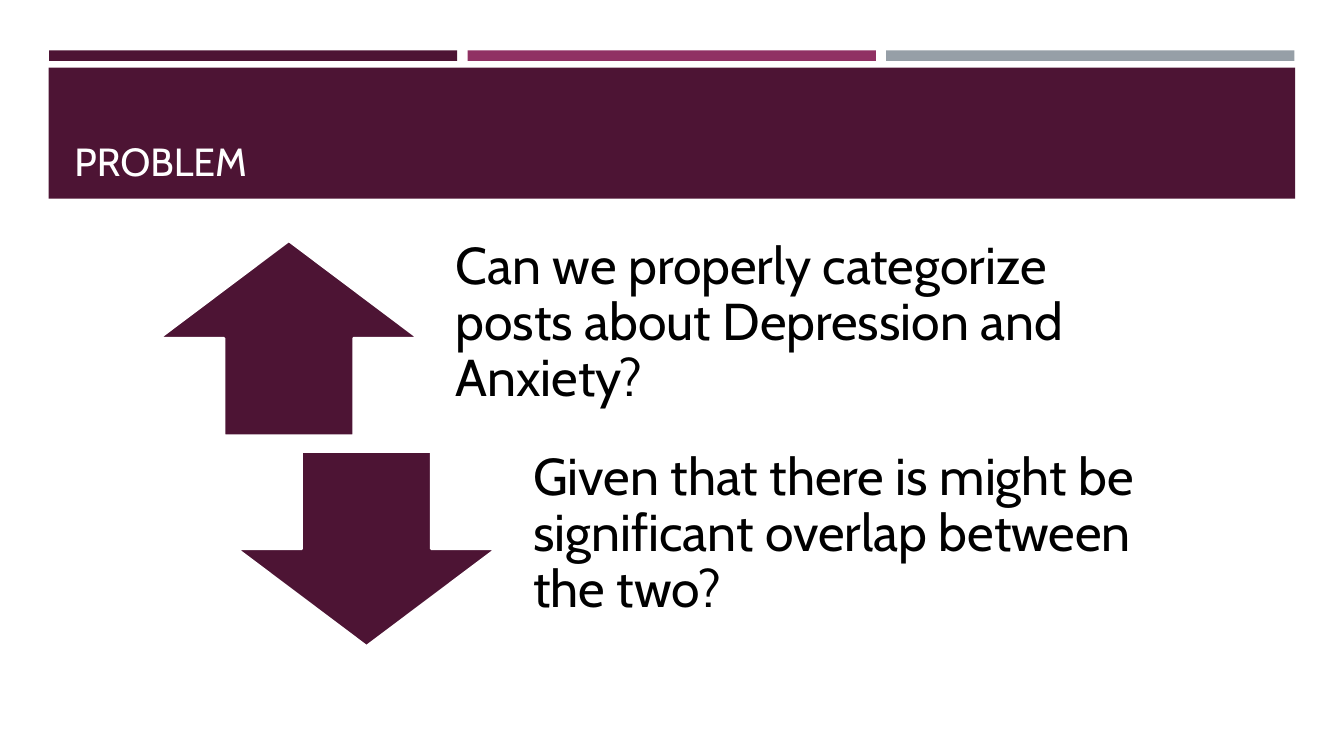
import pptx
import pptx.dml.color
import pptx.enum.shapes
import pptx.enum.text
import pptx.util

Pt = pptx.util.Pt
Shape = pptx.enum.shapes.MSO_SHAPE
Anchor = pptx.enum.text.MSO_ANCHOR

PLUM, ROSE, GREY = "4D1434", "903163", "969FA7"
WHITE, BLACK = "FFFFFF", "000000"


def color(code):
    return pptx.dml.color.RGBColor.from_string(code)


class Page:
    font = "Cabin"

    def __init__(self, slide):
        self.slide = slide

    def shape(self, kind, box, fill, line=None):
        item = self.slide.shapes.add_shape(kind, *map(Pt, box))
        item.shadow.inherit = False
        item.fill.solid()
        item.fill.fore_color.rgb = color(fill)
        if line:
            item.line.color.rgb = color(line)
            item.line.width = Pt(1.75)
        else:
            item.line.fill.background()

    def text(self, words, box, size, ink, anchor, insets, spacing=1.0):
        """Add a wrapped text box; insets run left, top, right, bottom."""
        frame = self.slide.shapes.add_textbox(*map(Pt, box)).text_frame
        frame.word_wrap = True
        frame.vertical_anchor = anchor
        (frame.margin_left, frame.margin_top,
         frame.margin_right, frame.margin_bottom) = map(Pt, insets)
        frame.text = words
        para = frame.paragraphs[0]
        para.line_spacing = spacing
        font = para.runs[0].font
        font.name = self.font
        font.size = Pt(size)
        font.color.rgb = color(ink)


def main():
    deck = pptx.Presentation()
    deck.slide_width, deck.slide_height = Pt(960), Pt(540)
    page = Page(deck.slides.add_slide(deck.slide_layouts[6]))

    for col, fill in enumerate((PLUM, ROSE, GREY)):
        page.shape(Shape.RECTANGLE, (35 + 299 * col, 36, 291.6, 7.5), fill)
    page.shape(Shape.RECTANGLE, (34.8, 48.4, 890.3, 93.6), PLUM)
    page.text("PROBLEM", (46.1, 55.4, 868.3, 79.9), 28, WHITE,
              Anchor.BOTTOM, (7.2, 3.6, 7.2, 3.6))

    points = (
        (Shape.UP_ARROW,
         "Can we properly categorize posts about Depression and Anxiety?"),
        (Shape.DOWN_ARROW,
         "Given that there is might be significant overlap between the two?"),
    )
    for row, (arrow, words) in enumerate(points):
        left, top = 113.8 + 55.5 * row, 172.1 + 150.5 * row
        page.shape(arrow, (left, top, 185, 139), PLUM, WHITE)
        page.text(words, (left + 190.8, top, 486, 139), 37, BLACK,
                  Anchor.MIDDLE, (20.9, 0, 20.9, 20.9), 0.9)

    deck.save("out.pptx")


if __name__ == "__main__":
    main()
